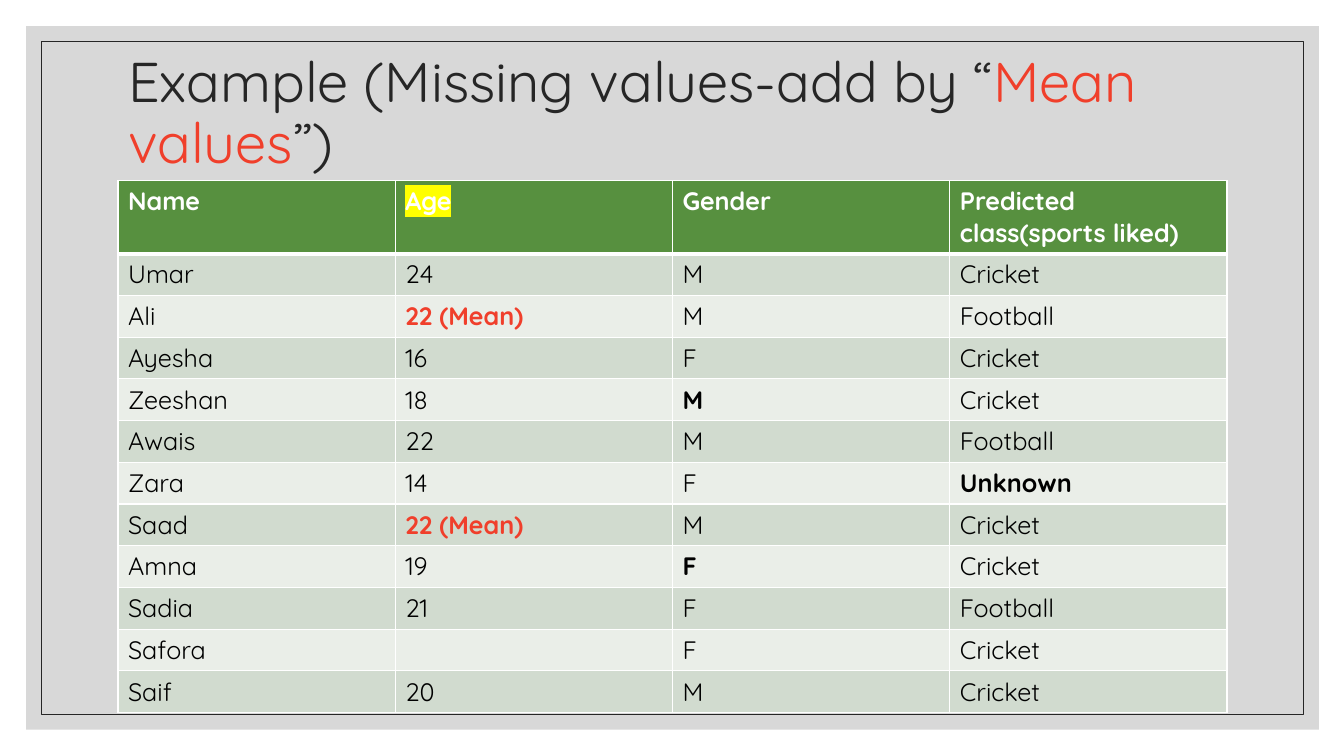
from dataclasses import dataclass

from lxml import etree
from pptx import Presentation
from pptx.dml.color import RGBColor
from pptx.enum.shapes import MSO_SHAPE as Shape
from pptx.enum.text import MSO_ANCHOR as Anchor, MSO_AUTO_SIZE as AutoSize, PP_ALIGN as Align
from pptx.oxml.ns import qn
from pptx.util import Inches, Pt


@dataclass(frozen=True)
class Theme:
    """Colours, font and type sizes of the slide."""
    font: str = "Quicksand"
    title_size: int = 40
    table_size: int = 18
    panel: str = "BFBFBF"
    dark: str = "262626"
    accent: str = "F03F2B"
    header: str = "57903F"
    bands: tuple = ("D1DBCF", "EAEEE8")
    highlight: str = "FFFF00"
    white: str = "FFFFFF"
    black: str = "000000"


THEME = Theme()
MEAN = "22 (Mean)"
HEADERS = ("Name", "Age", "Gender", "Predicted class(sports liked)")
PEOPLE = (
    ("Umar", "24", "M", "Cricket"),
    ("Ali", MEAN, "M", "Football"),
    ("Ayesha", "16", "F", "Cricket"),
    ("Zeeshan", "18", "M", "Cricket"),
    ("Awais", "22", "M", "Football"),
    ("Zara", "14", "F", "Unknown"),
    ("Saad", MEAN, "M", "Cricket"),
    ("Amna", "19", "F", "Cricket"),
    ("Sadia", "21", "F", "Football"),
    ("Safora", "", "F", "Cricket"),
    ("Saif", "20", "M", "Cricket"),
)
FILLED_IN = {("Zeeshan", "Gender"), ("Zara", HEADERS[3]), ("Amna", "Gender")}


def rgb(code):
    """Turn a hex code into a colour."""
    return RGBColor.from_string(code)


def add_solid(parent, tag, code):
    """Append an element that holds one plain colour."""
    element = etree.SubElement(parent, qn(tag))
    return etree.SubElement(element, qn("a:srgbClr"), val=code)


def add_frame(slide, left, top, width, height):
    """Draw the grey panel and the thin outline inside it."""
    inset = 0.15
    panel = slide.shapes.add_shape(
        Shape.RECTANGLE, Inches(left), Inches(top), Inches(width), Inches(height))
    panel.shadow.inherit = False
    panel.fill.solid()
    panel.fill.fore_color.rgb = rgb(THEME.panel)
    panel_color = panel.fill._xPr.find(".//" + qn("a:srgbClr"))
    etree.SubElement(panel_color, qn("a:alpha"), val="60000")
    panel.line.fill.background()

    outline = slide.shapes.add_shape(
        Shape.RECTANGLE, Inches(left + inset), Inches(top + inset),
        Inches(width - 2 * inset), Inches(height - 2 * inset))
    outline.shadow.inherit = False
    outline.fill.background()
    outline.line.color.rgb = rgb(THEME.dark)
    outline.line.width = Pt(0.5)


def add_title(slide, left, top, width, height):
    """Place the title and colour its key words."""
    title = slide.shapes.title
    title.left, title.top = Inches(left), Inches(top)
    title.width, title.height = Inches(width), Inches(height)
    frame = title.text_frame
    frame.word_wrap = True
    frame.auto_size = AutoSize.NONE
    frame.vertical_anchor = Anchor.MIDDLE
    paragraph = frame.paragraphs[0]
    paragraph.alignment = Align.LEFT
    paragraph.line_spacing = 0.9
    paragraph.font.name = THEME.font
    paragraph.font.size = Pt(THEME.title_size)
    for text, color in (("Example (Missing values-add by “", THEME.dark),
                        ("Mean values", THEME.accent), ("”)", THEME.dark)):
        run = paragraph.add_run()
        run.text = text
        run.font.color.rgb = rgb(color)


def format_cell(cell, text, fill, color, bold, bottom=1):
    """Write one cell with its borders, fill and type."""
    properties = cell._tc.get_or_add_tcPr()
    for tag, width in (("a:lnL", 1), ("a:lnR", 1), ("a:lnT", 1), ("a:lnB", bottom)):
        border = etree.SubElement(properties, qn(tag), w=str(Pt(width)))
        add_solid(border, "a:solidFill", THEME.white)
    cell.fill.solid()
    cell.fill.fore_color.rgb = rgb(fill)
    paragraph = cell.text_frame.paragraphs[0]
    if text:
        paragraph.add_run().text = text
    paragraph.font.name = THEME.font
    paragraph.font.size = Pt(THEME.table_size)
    paragraph.font.bold = bold
    paragraph.font.color.rgb = rgb(color)


def add_people_table(slide, left, top, width, row_height):
    """Build the table of people, with a header and banded rows."""
    row_count = len(PEOPLE) + 1
    table = slide.shapes.add_table(
        row_count, len(HEADERS), Inches(left), Inches(top),
        Inches(width), Inches(row_height * row_count)).table
    for column, header in enumerate(HEADERS):
        format_cell(table.cell(0, column), header, THEME.header, THEME.white, True, 3)
        for row, person in enumerate(PEOPLE, 1):
            text = person[column]
            is_mean = text == MEAN
            format_cell(table.cell(row, column), text, THEME.bands[(row - 1) % 2],
                        THEME.accent if is_mean else THEME.black,
                        is_mean or (person[0], header) in FILLED_IN)
    age = table.cell(0, HEADERS.index("Age")).text_frame.paragraphs[0].runs[0]
    add_solid(age.font._element, "a:highlight", THEME.highlight)


def main():
    """Build the slide and save it."""
    presentation = Presentation()
    presentation.slide_width, presentation.slide_height = Inches(13.33), Inches(7.5)
    slide = presentation.slides.add_slide(presentation.slide_layouts[5])
    add_frame(slide, 0.26, 0.26, 12.82, 6.98)
    add_title(slide, 1.17, 0.39, 11, 1.5)
    title_element = slide.shapes.title._element
    title_element.getparent().append(title_element)
    add_people_table(slide, 1.17, 1.79, 11, 0.41)
    presentation.save("out.pptx")


if __name__ == "__main__":
    main()
